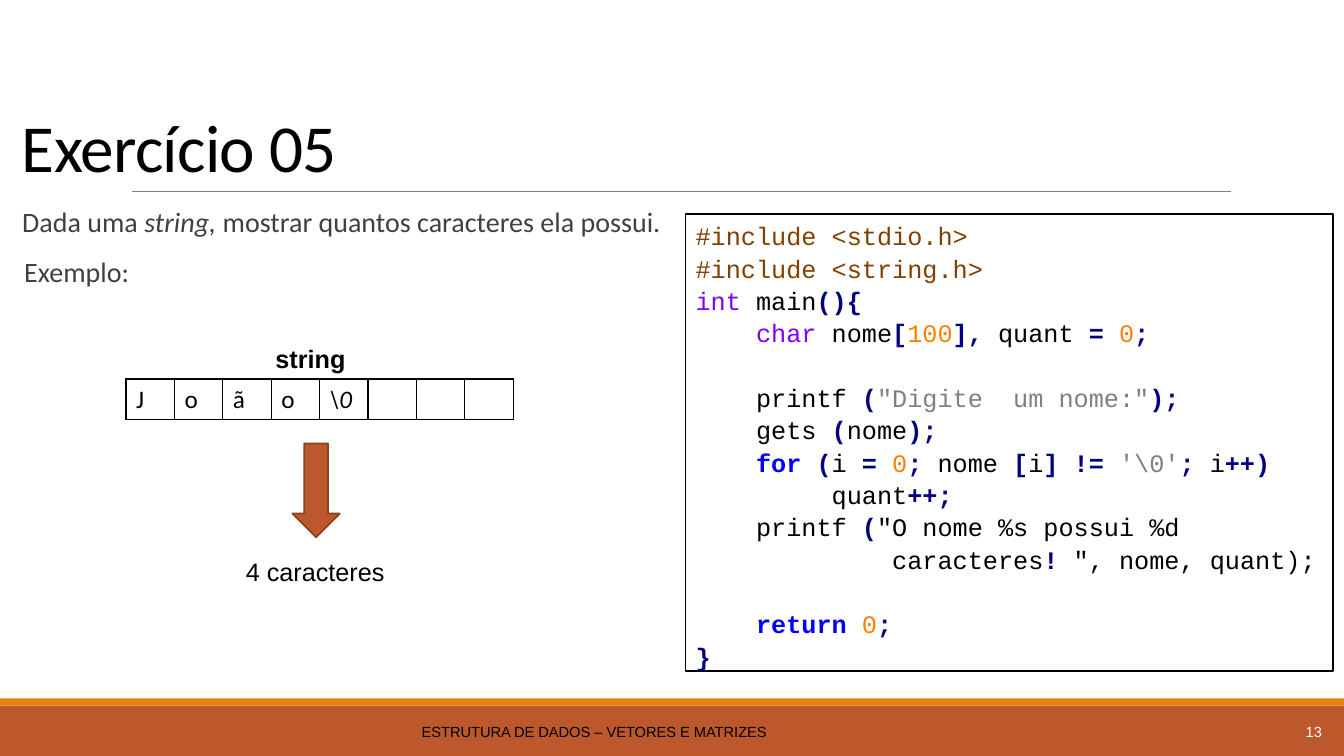
from pptx import Presentation
from pptx.dml.color import RGBColor
from pptx.enum.shapes import MSO_CONNECTOR, MSO_SHAPE
from pptx.enum.text import MSO_ANCHOR, PP_ALIGN
from pptx.oxml import parse_xml
from pptx.oxml.ns import nsdecls
from pptx.util import Inches, Pt

COLORS = {
    "black": "000000", "white": "FFFFFF", "body": "404040", "rule": "808080",
    "rust": "BD582C", "rust_edge": "8C4121", "orange": "E48312",
    "directive": "804000", "type": "8000FF", "plain": "000000",
    "operator": "000080", "number": "FF8000", "string": "808080",
    "keyword": "0000FF",
}
BOLD_TOKENS = {"operator", "keyword"}
CODE_CHAR_WIDTH = 0.15
BLANK_LINE = 23

# Each line: indent in characters, points above, tokens
CODE_LINES = [
    (0, 0, [("directive", "#include <stdio.h>")]),
    (0, 0, [("directive", "#include <string.h>")]),
    (0, 0, [("type", "int "), ("plain", "main"), ("operator", "(){")]),
    (4, 0, [("type", "char"), ("plain", " nome"), ("operator", "["),
            ("number", "100"), ("operator", "], "), ("plain", "quant "),
            ("operator", "= "), ("number", "0"), ("operator", ";")]),
    (4, BLANK_LINE, [("plain", "printf "), ("operator", "("),
                     ("string", '"Digite  um nome:"'), ("operator", ");")]),
    (4, 0, [("plain", "gets "), ("operator", "("), ("plain", "nome"),
            ("operator", ");")]),
    (4, 0, [("keyword", "for "), ("operator", "("), ("plain", "i "),
            ("operator", "= "), ("number", "0"), ("operator", ";"),
            ("plain", " nome "), ("operator", "["), ("plain", "i"),
            ("operator", "] != "), ("string", "'\\0'"), ("operator", ";"),
            ("plain", " i"), ("operator", "++)")]),
    (9, 0, [("plain", "quant"), ("operator", "++;")]),
    (4, 0, [("plain", "printf "), ("operator", "("),
            ("plain", '"O nome %s possui %d')]),
    (13, 0, [("plain", "caracteres"), ("operator", "!"),
             ("plain", ' ", nome, quant);')]),
    (4, BLANK_LINE, [("keyword", "return "), ("number", "0"), ("operator", ";")]),
    (0, 0, [("operator", "}")]),
]


def rgb(color):
    """Return the named colour."""
    return RGBColor.from_string(COLORS[color])


def style(font, size, color, name="Arial", bold=False):
    """Set the font of a paragraph."""
    font.size, font.name, font.bold = Pt(size), name, bold
    font.color.rgb = rgb(color)


def add_box(slide, preset, area, fill, edge=None):
    """Add a filled preset shape with an optional outline."""
    box = slide.shapes.add_shape(preset, *map(Inches, area))
    box.shadow.inherit = False
    box.fill.solid()
    box.fill.fore_color.rgb = rgb(fill)
    if edge:
        box.line.color.rgb = rgb(edge)
        box.line.width = Pt(1.25)
    else:
        box.line.fill.background()
    return box


def add_text(slide, area, text, size, color="black", name="Arial", bold=False,
             align=PP_ALIGN.LEFT, anchor=MSO_ANCHOR.TOP, wrap=True):
    """Add a one-paragraph text box and return its paragraph."""
    frame = slide.shapes.add_textbox(*map(Inches, area)).text_frame
    frame.word_wrap = wrap
    frame.vertical_anchor = anchor
    paragraph = frame.paragraphs[0]
    paragraph.text = text
    paragraph.alignment = align
    style(paragraph.font, size, color, name, bold)
    return paragraph


def add_title(slide):
    """Add the slide title and the rule below it."""
    title = add_text(slide, (0.12, 0.31, 13.1, 1.59), "Exercício 05", 48,
                     name="Calibri", anchor=MSO_ANCHOR.BOTTOM)
    title.line_spacing = 0.85
    title.runs[0].font._element.set("spc", "-50")
    rule = slide.shapes.add_connector(
        MSO_CONNECTOR.STRAIGHT, *map(Inches, (1.31, 1.9, 12.21, 1.9)))
    rule.line.color.rgb = rgb("rule")
    rule.line.width = Pt(0.5)
    rule._element.spPr.append(parse_xml(f"<a:effectLst {nsdecls('a')}/>"))


def add_statement(slide):
    """Add the exercise statement."""
    frame = slide.shapes.add_textbox(
        *map(Inches, (0.12, 2.02, 6.48, 4.91))).text_frame
    frame.word_wrap = True
    frame.margin_left = frame.margin_right = 0
    task, example = frame.paragraphs[0], frame.add_paragraph()
    for text, italic in (("Dada uma ", False), ("string,", True),
                         (" mostrar quantos caracteres ela possui.", False)):
        run = task.add_run()
        run.text, run.font.italic = text, italic
    example.text = "Exemplo:"
    for paragraph, indent in ((task, 0.1), (example, 0.12)):
        paragraph.alignment = PP_ALIGN.JUSTIFY
        paragraph.line_spacing = 0.9
        paragraph.space_before, paragraph.space_after = Pt(12), Pt(2)
        paragraph._p.get_or_add_pPr().set("marL", str(Inches(indent)))
        style(paragraph.font, 20, "body", "Calibri")


def add_code(slide):
    """Add the framed, highlighted program."""
    frame = add_box(slide, MSO_SHAPE.RECTANGLE, (6.8, 2.12, 6.42, 4.54),
                    "white", "black").text_frame
    frame.word_wrap = True
    frame.vertical_anchor = MSO_ANCHOR.TOP
    for number, (indent, space, tokens) in enumerate(CODE_LINES):
        line = frame.add_paragraph() if number else frame.paragraphs[0]
        line.alignment = PP_ALIGN.LEFT
        line.line_spacing = 1.07
        line.space_before = Pt(space)
        margin = Inches(indent * CODE_CHAR_WIDTH)
        line._p.get_or_add_pPr().set("marL", str(margin))
        line.font.size, line.font.name = Pt(18), "Courier New"
        for kind, text in tokens:
            token = line.add_run()
            token.text = text
            token.font.color.rgb = rgb(kind)
            token.font.bold = kind in BOLD_TOKENS


def border_cell(cell):
    """Draw thin black borders around a table cell."""
    properties = cell._tc.get_or_add_tcPr()
    for position, side in enumerate(("lnL", "lnR", "lnT", "lnB")):
        properties.insert(position, parse_xml(
            f'<a:{side} {nsdecls("a")} w="{Pt(1)}"><a:solidFill>'
            f'<a:srgbClr val="{COLORS["black"]}"/></a:solidFill></a:{side}>'))


def add_string_cells(slide, characters):
    """Add the row of character cells."""
    table = slide.shapes.add_table(
        1, len(characters), *map(Inches, (1.25, 3.76, 3.84, 0.4))).table
    table.first_row = table.horz_banding = False
    for cell, character in zip(table.iter_cells(), characters):
        cell.fill.background()
        border_cell(cell)
        paragraph = cell.text_frame.paragraphs[0]
        paragraph.text = character
        style(paragraph.font, 18, "black", "Calibri")
        paragraph.font.italic = character == "\\0"


def add_footer(slide):
    """Add the footer bands, course name and slide number."""
    add_box(slide, MSO_SHAPE.RECTANGLE, (0, 7, 13.33, 0.5), "rust")
    add_box(slide, MSO_SHAPE.RECTANGLE, (0, 6.93, 13.33, 0.07), "orange")
    add_text(slide, (0.12, 7.06, 11.55, 0.4),
             "ESTRUTURA DE DADOS – VETORES E MATRIZES", 10.5,
             align=PP_ALIGN.CENTER, anchor=MSO_ANCHOR.MIDDLE)
    add_text(slide, (11.78, 7.06, 1.43, 0.4), "13", 10.5, "white",
             align=PP_ALIGN.RIGHT, anchor=MSO_ANCHOR.MIDDLE)


def main():
    """Build the exercise slide."""
    deck = Presentation()
    deck.slide_width, deck.slide_height = Inches(13.33), Inches(7.5)
    slide = deck.slides.add_slide(deck.slide_layouts[6])
    add_footer(slide)
    add_title(slide)
    add_statement(slide)
    add_code(slide)
    add_string_cells(slide, ["J", "o", "ã", "o", "\\0", "", "", ""])
    add_text(slide, (2.63, 3.36, 0.9, 0.4), "string", 18, bold=True,
             align=PP_ALIGN.CENTER, wrap=False)
    add_box(slide, MSO_SHAPE.DOWN_ARROW, (2.9, 4.4, 0.47, 0.93),
            "rust", "rust_edge")
    add_text(slide, (2.34, 5.47, 1.59, 0.4), "4 caracteres", 18, wrap=False)
    deck.save("out.pptx")


main()
